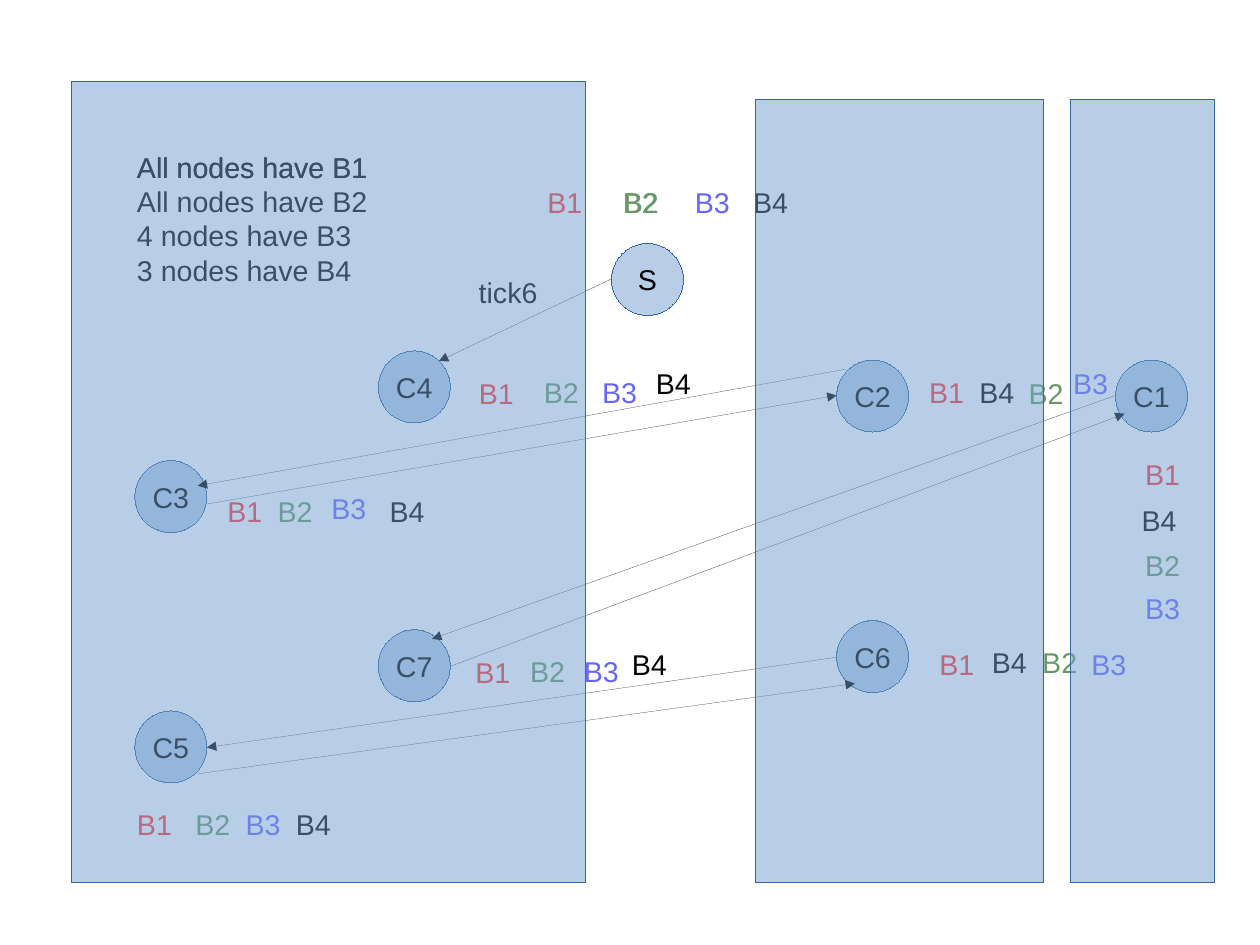
from lxml import etree
from pptx import Presentation
from pptx.dml.color import RGBColor
from pptx.enum.shapes import MSO_CONNECTOR, MSO_SHAPE
from pptx.enum.text import MSO_ANCHOR, MSO_AUTO_SIZE, PP_ALIGN
from pptx.oxml.ns import qn
from pptx.util import Inches, Pt

OVAL, RECT = MSO_SHAPE.OVAL, MSO_SHAPE.RECTANGLE
STRAIGHT = MSO_CONNECTOR.STRAIGHT
MIDDLE, CENTER = MSO_ANCHOR.MIDDLE, PP_ALIGN.CENTER
FIT = MSO_AUTO_SIZE.SHAPE_TO_FIT_TEXT

COLORS = {"fill": "729FCF", "edge": "3465A4", "text": "000000",
          "B1": "FF3333", "B2": "669966", "B3": "6666FF", "B4": "000000"}
WIDTH, HEIGHT = 28 / 2.54, 21 / 2.54
SIZE = 0.63
NODES = {"S": (5.35, 2.13), "C5": (1.18, 6.22), "C7": (3.31, 5.51),
         "C3": (1.18, 4.03), "C4": (3.31, 3.07), "C2": (7.32, 3.15),
         "C6": (7.32, 5.43), "C1": (9.76, 3.15)}
BLOCKS = {
    "S": {"B1": (-0.66, -0.56), "B2": (0, -0.56), "B3": (0.63, -0.56), "B4": (1.14, -0.56)},
    "C1": {"B1": (0.16, 0.8), "B4": (0.13, 1.2), "B2": (0.16, 1.59), "B3": (0.16, 1.97)},
    "C2": {"B1": (0.71, 0.08), "B4": (1.15, 0.08), "B2": (1.58, 0.09), "B3": (1.97, 0)},
    "C3": {"B1": (0.71, 0.24), "B2": (1.15, 0.24), "B3": (1.62, 0.22), "B4": (2.13, 0.24)},
    "C4": {"B1": (0.78, 0.17), "B2": (1.35, 0.16), "B3": (1.86, 0.16), "B4": (2.33, 0.08)},
    "C5": {"B1": (-0.08, 0.79), "B2": (0.43, 0.79), "B3": (0.87, 0.79), "B4": (1.31, 0.79)},
    "C6": {"B1": (0.8, 0.18), "B4": (1.26, 0.16), "B2": (1.7, 0.16), "B3": (2.13, 0.18)},
    "C7": {"B1": (0.75, 0.17), "B2": (1.23, 0.16), "B3": (1.7, 0.16), "B4": (2.12, 0.1)},
}
ARROWS = [(5.35, 2.44, 3.84, 3.16), (1.81, 4.41, 7.32, 3.46),
          (7.4, 3.23, 1.73, 4.25), (1.73, 6.77, 7.48, 5.98),
          (7.32, 5.75, 1.81, 6.54), (3.94, 5.83, 9.84, 3.62),
          (9.76, 3.46, 3.78, 5.59)]
NOTES = ["All nodes have B1", "All nodes have B2", "4 nodes have B3", "3 nodes have B4"]
PANELS = [(0.63, 0.71, 4.49, 7.01), (6.61, 0.87, 2.52, 6.85), (9.37, 0.87, 1.26, 6.85)]


def paint(name):
    """Return the named colour."""
    return RGBColor.from_string(COLORS[name])


def add_run(para, text, color="text"):
    """Add one run of Arial text."""
    run = para.add_run()
    run.text = text
    run.font.name = "Arial"
    run.font.size = Pt(18)
    run.font.color.rgb = paint(color)


def set_line(shape, color):
    """Give the shape a hairline and return its element."""
    shape.line.color.rgb = paint(color)
    line = shape._element.spPr.find(qn("a:ln"))
    line.set("w", "0")
    return line


def add_form(slide, kind, box):
    """Add a half-clear blue shape in the box."""
    form = slide.shapes.add_shape(kind, *map(Inches, box))
    form.shadow.inherit = False
    form.fill.solid()
    form.fill.fore_color.rgb = paint("fill")
    tint = form._element.spPr.find(qn("a:solidFill")).find(qn("a:srgbClr"))
    etree.SubElement(tint, qn("a:alpha"), val="50000")
    set_line(form, "edge")
    return form


def add_node(slide, name, box):
    """Add a named circle."""
    frame = add_form(slide, OVAL, box).text_frame
    frame.word_wrap = False
    frame.vertical_anchor = MIDDLE
    para = frame.paragraphs[0]
    para.alignment = CENTER
    add_run(para, name)


def add_text(slide, lines, box, color="text"):
    """Add a text box with one paragraph a line."""
    frame = slide.shapes.add_textbox(*map(Inches, box)).text_frame
    frame.word_wrap = True
    frame.auto_size = FIT
    for i, line in enumerate(lines):
        para = frame.add_paragraph() if i else frame.paragraphs[0]
        add_run(para, line, color)


def add_blocks(slide, blocks, left, top):
    """Add the block labels around a node's corner."""
    for name, (dx, dy) in blocks.items():
        add_text(slide, [name], (left + dx, top + dy, 0.52, 0.38), name)


def add_arrow(slide, ends):
    """Add a hairline arrow."""
    arrow = slide.shapes.add_connector(STRAIGHT, *map(Inches, ends))
    etree.SubElement(set_line(arrow, "text"), qn("a:tailEnd"), type="triangle")
    etree.SubElement(arrow._element.spPr, qn("a:effectLst"))


def add_notes(slide, left, top):
    """Add the summary with its first line set double."""
    for lines, high in ((NOTES[:1], 0.38), (NOTES, 1.22)):
        add_text(slide, lines, (left, top, 2.28, high))


def add_graph(slide):
    """Draw nodes, arrows and labels below the panels."""
    for name, (left, top) in NODES.items():
        add_node(slide, name, (left, top, SIZE, SIZE))
    for ends in ARROWS:
        add_arrow(slide, ends)
    for name, blocks in BLOCKS.items():
        add_blocks(slide, blocks, *NODES[name])
    add_blocks(slide, {"B2": (0.01, -0.56)}, *NODES["S"])
    add_notes(slide, 1.1, 1.26)
    add_text(slide, ["tick6"], (4.09, 2.36, 0.74, 0.38))
    for box in PANELS:
        add_form(slide, RECT, box)


def main():
    """Build and save the slide."""
    deck = Presentation()
    deck.slide_width, deck.slide_height = Inches(WIDTH), Inches(HEIGHT)
    add_graph(deck.slides.add_slide(deck.slide_layouts[6]))
    deck.save("out.pptx")


if __name__ == "__main__":
    main()
